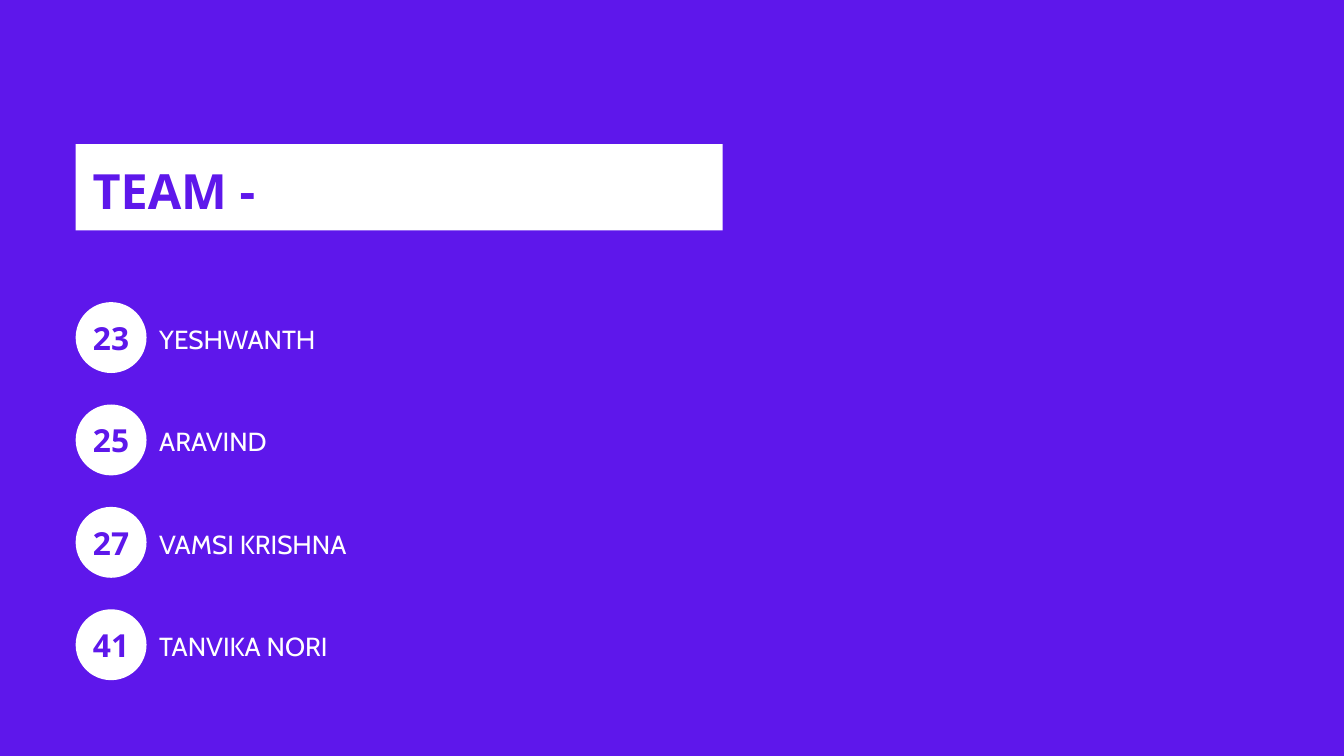
from dataclasses import dataclass

from pptx import Presentation
from pptx.dml.color import RGBColor
from pptx.enum.shapes import MSO_SHAPE
from pptx.enum.text import MSO_ANCHOR, MSO_AUTO_SIZE, PP_ALIGN
from pptx.util import Cm, Pt


@dataclass(frozen=True)
class Theme:
    violet: RGBColor = RGBColor(0x5E, 0x17, 0xEB)
    white: RGBColor = RGBColor(0xFF, 0xFF, 0xFF)
    heading_font: str = "Open Sans"
    body_font: str = "Cabin"
    title_size: int = 52
    number_size: int = 34
    name_size: int = 28
    line_ratio: float = 1.4


@dataclass(frozen=True)
class Member:
    number: str
    name: str


THEME = Theme()
MEMBERS = [
    Member("23", "YESHWANTH"),
    Member("25", "ARAVIND"),
    Member("27", "VAMSI KRISHNA"),
    Member("41", "TANVIKA NORI"),
]

# Layout in centimetres
PAGE_WIDTH = 50.8
MARGIN = 2.86
FIRST_ROW = 11.42
ROW_STEP = 3.87
BADGE_SIZE = 2.68
NAME_LEFT = 6.02
NAME_OFFSET = 0.6


def write_text(box, text: str, *, size: int, color: RGBColor, font: str,
               bold: bool = False, align=PP_ALIGN.LEFT, anchor=MSO_ANCHOR.TOP,
               wrap: bool = True, bottom_inset: float = 0) -> None:
    """Put one formatted line of text into a shape."""
    frame = box.text_frame
    frame.auto_size = MSO_AUTO_SIZE.NONE
    frame.word_wrap = wrap
    frame.vertical_anchor = anchor
    frame.margin_left = frame.margin_right = frame.margin_top = 0
    frame.margin_bottom = Cm(bottom_inset)
    para = frame.paragraphs[0]
    para.alignment = align
    para.line_spacing = Pt(size * THEME.line_ratio)
    para.space_before = Pt(0)
    span = para.add_run()
    span.text = text
    span.font.size = Pt(size)
    span.font.name = font
    span.font.bold = bold
    span.font.color.rgb = color


def add_white_shape(page, kind: MSO_SHAPE, left: float, top: float,
                    width: float, height: float):
    shape = page.shapes.add_shape(kind, Cm(left), Cm(top), Cm(width), Cm(height))
    shape.shadow.inherit = False
    shape.fill.solid()
    shape.fill.fore_color.rgb = THEME.white
    shape.line.fill.background()
    return shape


def add_title(page, text: str) -> None:
    add_white_shape(page, MSO_SHAPE.RECTANGLE, MARGIN, 5.45, 24.46, 3.26)
    title = page.shapes.title
    title.left, title.top, title.width, title.height = Cm(3.5), Cm(5.72), Cm(23.19), Cm(2.46)
    write_text(title, text, size=THEME.title_size, color=THEME.violet,
               font=THEME.heading_font, bold=True)
    # Bring the title in front of its banner
    title.element.getparent().append(title.element)


def add_member(page, member: Member, top: float) -> None:
    badge = add_white_shape(page, MSO_SHAPE.OVAL, MARGIN, top, BADGE_SIZE, BADGE_SIZE)
    write_text(badge, member.number, size=THEME.number_size, color=THEME.violet,
               font=THEME.heading_font, bold=True, align=PP_ALIGN.CENTER,
               anchor=MSO_ANCHOR.MIDDLE, wrap=False, bottom_inset=0.23)
    label = page.shapes.add_textbox(Cm(NAME_LEFT), Cm(top + NAME_OFFSET), Cm(17.42), Cm(1.35))
    write_text(label, member.name, size=THEME.name_size, color=THEME.white,
               font=THEME.body_font)


def main() -> None:
    deck = Presentation()
    deck.slide_width = Cm(PAGE_WIDTH)
    deck.slide_height = Cm(PAGE_WIDTH * 9 / 16)
    page = deck.slides.add_slide(deck.slide_layouts.get_by_name("Title Only"))

    # Background
    page.background.fill.solid()
    page.background.fill.fore_color.rgb = THEME.violet

    # Title banner and member rows
    add_title(page, "TEAM -")
    for row, member in enumerate(MEMBERS):
        add_member(page, member, FIRST_ROW + row * ROW_STEP)

    deck.save("out.pptx")


if __name__ == "__main__":
    main()
